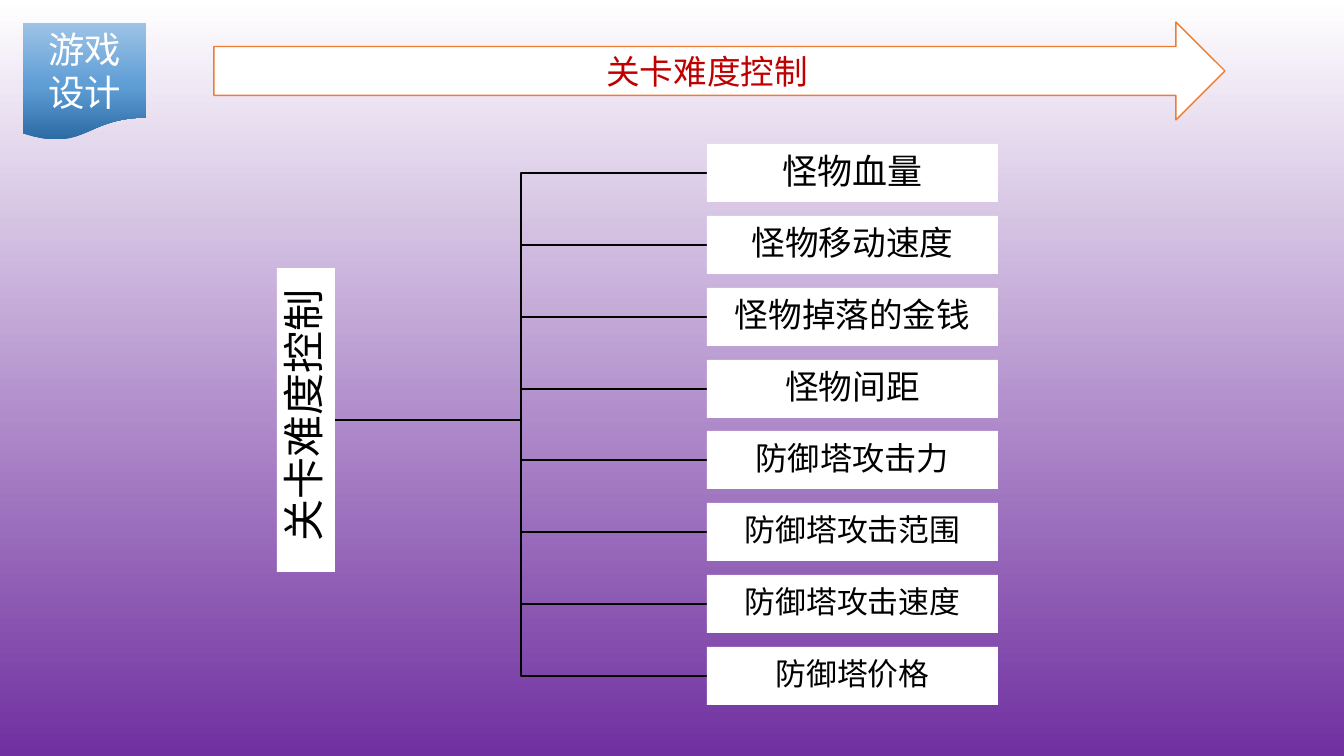
from copy import deepcopy
from dataclasses import dataclass

from lxml import etree
from pptx import Presentation
from pptx.dml.color import RGBColor
from pptx.enum.shapes import MSO_SHAPE
from pptx.enum.text import MSO_ANCHOR, PP_ALIGN
from pptx.oxml.ns import qn
from pptx.util import Emu, Pt

RECTANGLE = MSO_SHAPE.RECTANGLE
RIGHT_ARROW = MSO_SHAPE.RIGHT_ARROW
DOCUMENT = MSO_SHAPE.FLOWCHART_DOCUMENT
CENTER = PP_ALIGN.CENTER
MIDDLE = MSO_ANCHOR.MIDDLE

SLIDE_WIDTH, SLIDE_HEIGHT = 1344, 756
EMU_PER_PX = 12192000 / SLIDE_WIDTH
TIGHT_INSET = 2


@dataclass(frozen=True)
class Theme:
    """Colours, font and type sizes of the slide."""
    font: str = "Noto Sans CJK SC"
    white: str = "FFFFFF"
    black: str = "000000"
    title: str = "C00000"
    outline: str = "ED7D31"
    backdrop: tuple = ((0, "FFFFFF"), (1, "7030A0"))
    badge: tuple = ((0, "2A69A2"), (0.48, "609ED6"), (1, "9DC3E6"))
    line_width: int = 1
    badge_size: int = 26
    title_size: int = 24
    root_size: int = 30


THEME = Theme()
ROOT_TEXT = " 关卡难度控制"
FACTORS = (
    ("怪物血量", 25),
    ("怪物移动速度", 24),
    ("怪物掉落的金钱", 24),
    ("怪物间距", 24),
    ("防御塔攻击力", 23),
    ("防御塔攻击范围", 22),
    ("防御塔攻击速度", 22),
    ("防御塔价格", 22),
)


def px(length):
    """Turn pixels into EMU."""
    return Emu(round(length * EMU_PER_PX))


def apply_format(target, values):
    """Set every attribute named in a dict of format values."""
    for name, value in values.items():
        setattr(target, name, value)


def paint_gradient(fill, element, stops, angle):
    """Fill with colour stops along an anticlockwise angle."""
    fill.gradient()
    fill.gradient_angle = angle
    stop_list = element.find(".//" + qn("a:gsLst"))
    while len(stop_list) < len(stops):
        stop_list.append(deepcopy(stop_list[0]))
    for stop, (position, color) in zip(fill.gradient_stops, stops):
        stop.position = position
        stop.color.rgb = RGBColor.from_string(color)


def paint_line(shape, color):
    """Give a shape a thin solid line."""
    shape.line.color.rgb = RGBColor.from_string(color)
    shape.line.width = Pt(THEME.line_width)


def write_text(shape, text, size, color, inset=None, spacing=None):
    """Write one centred paragraph inside a shape."""
    frame = shape.text_frame
    apply_format(frame, {"word_wrap": True, "vertical_anchor": MIDDLE})
    if inset is not None:
        sides = ("margin_left", "margin_top", "margin_right", "margin_bottom")
        apply_format(frame, dict.fromkeys(sides, px(inset)))
    paragraph = frame.paragraphs[0]
    apply_format(paragraph, {"alignment": CENTER, "line_spacing": spacing})
    run = paragraph.add_run()
    run.text = text
    run.font.color.rgb = RGBColor.from_string(color)
    apply_format(run.font, {"size": Pt(size), "name": THEME.font})
    east_asian = etree.SubElement(run._r.get_or_add_rPr(), qn("a:ea"))
    east_asian.set("typeface", THEME.font)


def add_panel(slide, kind, box):
    """Add a white shape without line or shadow."""
    shape = slide.shapes.add_shape(kind, *map(px, box))
    shape.shadow.inherit = False
    shape.fill.solid()
    shape.fill.fore_color.rgb = RGBColor.from_string(THEME.white)
    shape.line.fill.background()
    return shape


def add_badge(slide, box):
    """Add the topic badge in the corner."""
    badge = add_panel(slide, DOCUMENT, box)
    paint_gradient(badge.fill, badge._element, THEME.badge, 90)
    write_text(badge, "游戏设计", THEME.badge_size, THEME.white)


def add_title_arrow(slide, box):
    """Add the outlined arrow that carries the title."""
    arrow = add_panel(slide, RIGHT_ARROW, box)
    paint_line(arrow, THEME.outline)
    write_text(arrow, "关卡难度控制", THEME.title_size, THEME.title)


def add_branch(slide, start, end):
    """Draw an elbow line that turns halfway between two points."""
    middle = (start[0] + end[0]) / 2
    builder = slide.shapes.build_freeform(*start, scale=EMU_PER_PX)
    builder.add_line_segments([(middle, start[1]), (middle, end[1]), end], close=False)
    branch = builder.convert_to_shape()
    branch.shadow.inherit = False
    branch.fill.background()
    paint_line(branch, THEME.black)


def add_tree(slide, box, root_length=304, bar=58, card_width=291):
    """Add the upright root, its branches and the column of factor cards."""
    left, top, width, height = box
    root_middle = top + 276
    card_left = left + width - card_width
    pitch = (height - bar) / (len(FACTORS) - 1)
    card_tops = [top + round(index * pitch) for index in range(len(FACTORS))]

    for card_top in card_tops:
        add_branch(slide, (left + bar, root_middle), (card_left, card_top + bar / 2))

    root_box = (left + (bar - root_length) / 2, root_middle - bar / 2, root_length, bar)
    root = add_panel(slide, RECTANGLE, root_box)
    root.rotation = 270
    write_text(root, ROOT_TEXT, THEME.root_size, THEME.black, TIGHT_INSET, 0.9)

    for card_top, (text, size) in zip(card_tops, FACTORS):
        card = add_panel(slide, RECTANGLE, (card_left, card_top, card_width, bar))
        write_text(card, text, size, THEME.black, TIGHT_INSET, 0.9)


def build_slide(presentation):
    """Lay out the level difficulty slide."""
    slide = presentation.slides.add_slide(presentation.slide_layouts[6])
    paint_gradient(slide.background.fill, slide._element, THEME.backdrop, 270)
    add_badge(slide, (23, 23, 123, 118))
    add_tree(slide, (277, 144, 721, 561))
    add_title_arrow(slide, (214, 22, 1011, 98))


def main():
    """Build and save the presentation."""
    presentation = Presentation()
    size = {"slide_width": px(SLIDE_WIDTH), "slide_height": px(SLIDE_HEIGHT)}
    apply_format(presentation, size)
    build_slide(presentation)
    presentation.save("out.pptx")


if __name__ == "__main__":
    main()
